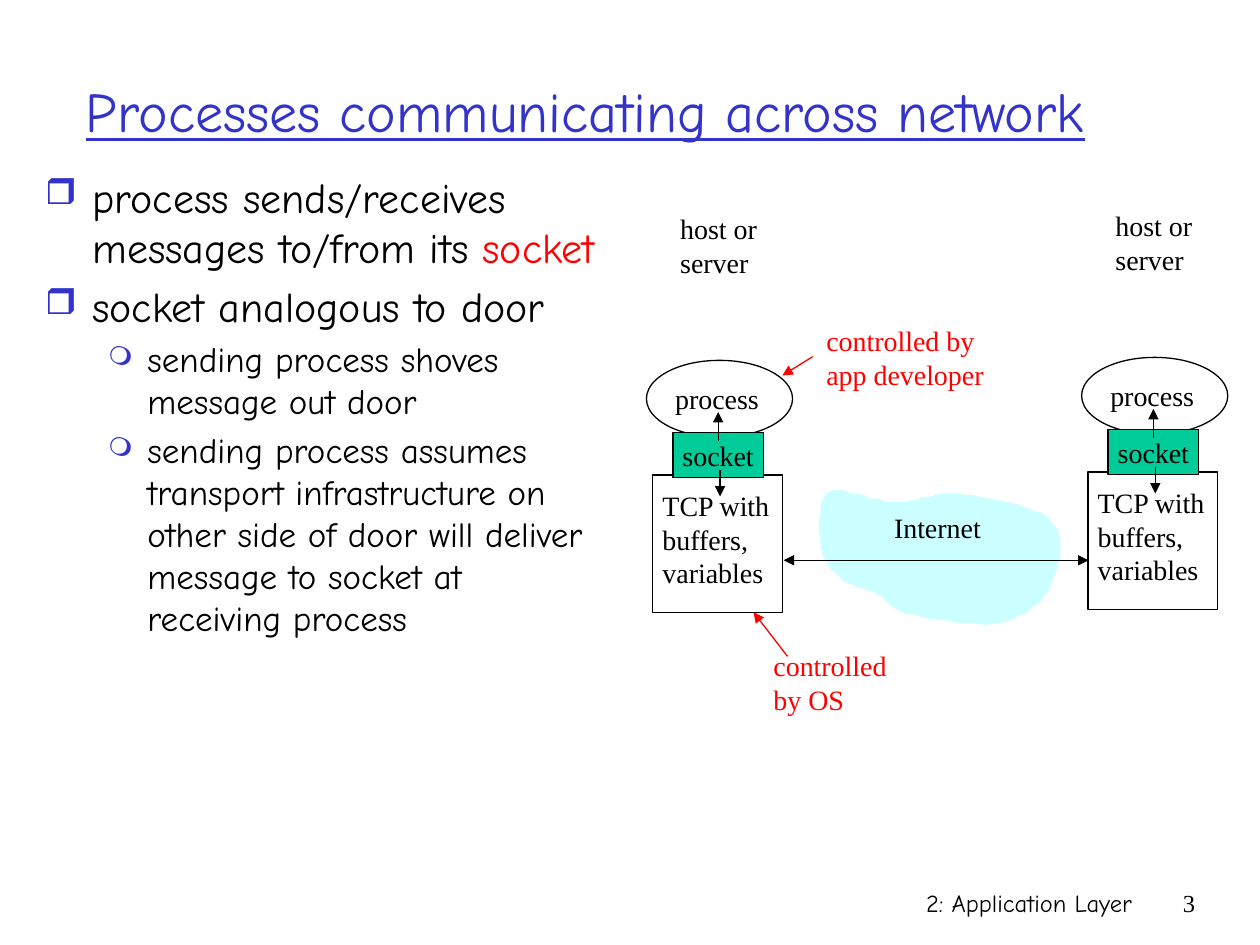
from lxml.etree import SubElement
from pptx import Presentation
from pptx.dml.color import RGBColor
from pptx.enum.shapes import MSO_CONNECTOR, MSO_SHAPE
from pptx.enum.text import MSO_ANCHOR, PP_ALIGN
from pptx.oxml.ns import qn
from pptx.util import Pt

BLACK = RGBColor(0x00, 0x00, 0x00)
RED = RGBColor(0xFF, 0x00, 0x00)
BLUE = RGBColor(0x33, 0x33, 0xCC)
GREEN = RGBColor(0x00, 0xCC, 0x99)
CYAN = RGBColor(0xCC, 0xFF, 0xFF)
COMIC, TIMES = "Comic Neue", "Times New Roman"

prs = Presentation()
prs.slide_width, prs.slide_height = Pt(720), Pt(540)
s = prs.slides.add_slide(prs.slide_layouts[6])


def add_text(sp, text, color=BLACK, size=16, font=TIMES, align=PP_ALIGN.LEFT, wrap=False):
    """Fill a shape with one paragraph per line of text."""
    tf = sp.text_frame
    tf.word_wrap = wrap
    for i, line in enumerate(text.split("\n")):
        p = tf.add_paragraph() if i else tf.paragraphs[0]
        p.alignment = align
        r = p.add_run()
        r.text = line
        r.font.name, r.font.size, r.font.color.rgb = font, Pt(size), color
    return tf


def add_arrow(x1, y1, x2, y2, color=BLACK, ends=("tailEnd",)):
    c = s.shapes.add_connector(MSO_CONNECTOR.STRAIGHT, Pt(x1), Pt(y1), Pt(x2), Pt(y2))
    c.line.color.rgb, c.line.width = color, Pt(0.75)
    for end in ends:
        SubElement(c.line._get_or_add_ln(), qn("a:" + end), type="triangle")
    SubElement(c._element.spPr, qn("a:effectLst"))


# Footer and title
sp = s.shapes.add_textbox(Pt(426), Pt(504), Pt(228), Pt(36))
add_text(sp, "2: Application Layer", size=14, font=COMIC, align=PP_ALIGN.RIGHT, wrap=True)
sp = s.shapes.add_textbox(Pt(654), Pt(504), Pt(36), Pt(36))
add_text(sp, "3", size=14, align=PP_ALIGN.RIGHT, wrap=True)
sp = s.shapes.add_textbox(Pt(42), Pt(18), Pt(636), Pt(90))
tf = add_text(sp, "Processes communicating across network", BLUE, 32, COMIC, wrap=True)
tf.vertical_anchor = MSO_ANCHOR.MIDDLE
tf.paragraphs[0].runs[0].font.underline = True

# Bulleted body: level and coloured runs
body = [
    (0, [("process sends/receives messages to/from its ", BLACK), ("socket", RED)]),
    (0, [("socket analogous to door", BLACK)]),
    (1, [("sending process shoves message out door", BLACK)]),
    (1, [("sending process assumes transport infrastructure on other side of door "
          "will deliver message to socket at receiving process", BLACK)]),
]
# Per level: size, left margin, hanging indent, bullet, bullet size
levels = [(24, 27, 27, "❒", 85), (20, 58.5, 22.5, "❍", 75)]
tf = s.shapes.add_textbox(Pt(18.7), Pt(94.3), Pt(331.2), Pt(309.6)).text_frame
tf.word_wrap = True
for i, (level, runs) in enumerate(body):
    size, margin, hang, bullet, percent = levels[level]
    p = tf.add_paragraph() if i else tf.paragraphs[0]
    p.level = level
    if i:
        p.space_before = Pt(size * 0.2)
    pPr = p._p.get_or_add_pPr()
    pPr.set("marL", str(Pt(margin)))
    pPr.set("indent", str(-Pt(hang)))
    SubElement(SubElement(pPr, qn("a:buClr")), qn("a:srgbClr"), val=str(BLUE))
    SubElement(pPr, qn("a:buSzPct"), val=str(percent * 1000))
    SubElement(pPr, qn("a:buChar"), char=bullet)
    for text, color in runs:
        r = p.add_run()
        r.text = text
        r.font.name, r.font.size, r.font.color.rgb = COMIC, Pt(size), color

# Internet cloud: start point, then cubic curves (two controls and an end), in points
start = (468.7, 309.6)
curves = [
    ((468, 301), (467.3, 285.1), (473.8, 280.8)),
    ((481, 277.2), (498.2, 286.6), (510.5, 287.3)),
    ((523.4, 287.3), (532.8, 280.8), (547.9, 282.2)),
    ((562.3, 283.7), (591.8, 288.7), (600.5, 297.4)),
    ((609.1, 306), (606.2, 323.3), (601.2, 333.4)),
    ((596.9, 342.7), (586.1, 352.8), (572.4, 355.7)),
    ((559.4, 358.6), (533.5, 354.2), (521.3, 351.4)),
    ((509, 348.5), (507.6, 343.4), (500.4, 339.1)),
    ((493.2, 335.5), (484.6, 334.8), (479.5, 329.8)),
    ((473.8, 324.7), (468.7, 317.5), start),
]
STEPS = 12
points, a = [], start
for b, c, d in curves:
    for k in range(1, STEPS + 1):
        t = k / STEPS
        u = 1 - t
        points.append([u**3 * a[n] + 3 * u * u * t * b[n] + 3 * u * t * t * c[n] + t**3 * d[n]
                       for n in (0, 1)])
    a = d
fb = s.shapes.build_freeform(start[0], start[1], scale=Pt(1))
fb.add_line_segments(points, close=True)
cloud = fb.convert_to_shape()
cloud.shadow.inherit = False
cloud.fill.solid()
cloud.fill.fore_color.rgb = CYAN
cloud.line.fill.background()

# The two hosts
host_parts = [
    (MSO_SHAPE.OVAL, None, "", (369.4, 205.9, 83.5, 43.9)),
    (None, None, "process", (378.7, 214.6, 62.6, 26.6)),
    (MSO_SHAPE.RECTANGLE, None, "", (373, 271.4, 74.2, 78.5)),
    (None, None, "TCP with\nbuffers,\nvariables", (371.5, 275.8, 76.3, 64.8)),
    (MSO_SHAPE.RECTANGLE, GREEN, "socket", (384.5, 247, 51.8, 25.9)),
    (None, None, "host or\nserver", (381.6, 117.4, 58.3, 46)),
]
for dx, dy in [(0, 0), (248.7, -1.7)]:
    for preset, fill, text, (x, y, w, h) in host_parts:
        box = Pt(x + dx), Pt(y + dy), Pt(w), Pt(h)
        if preset is None:
            add_text(s.shapes.add_textbox(*box), text)
            continue
        sp = s.shapes.add_shape(preset, *box)
        sp.shadow.inherit = False
        sp.line.color.rgb, sp.line.width = BLACK, Pt(0.75)
        if fill is None:
            sp.fill.background()
        else:
            sp.fill.solid()
            sp.fill.fore_color.rgb = fill
        if text:
            add_text(sp, text, align=PP_ALIGN.CENTER).vertical_anchor = MSO_ANCHOR.MIDDLE
    add_arrow(410.4 + dx, 252 + dy, 410.4 + dx, 235.4 + dy)
    add_arrow(411.5 + dx, 268.6 + dy, 411.5 + dx, 283.7 + dy)

# Network link and control labels
sp = s.shapes.add_textbox(Pt(503.3), Pt(288), Pt(64.8), Pt(26.6))
add_text(sp, "Internet", align=PP_ALIGN.CENTER)
add_arrow(447.8, 320.2, 622, 320.2, ends=("headEnd", "tailEnd"))
sp = s.shapes.add_textbox(Pt(434.9), Pt(367.2), Pt(79.9), Pt(64.8))
add_text(sp, "controlled\nby OS", RED)
add_arrow(450, 375.1, 430.6, 349.9, RED)
sp = s.shapes.add_textbox(Pt(465.1), Pt(181.4), Pt(105.1), Pt(46))
add_text(sp, "controlled by\napp developer", RED)
add_arrow(464.4, 203.8, 447.1, 214.6, RED)

prs.save("out.pptx")
